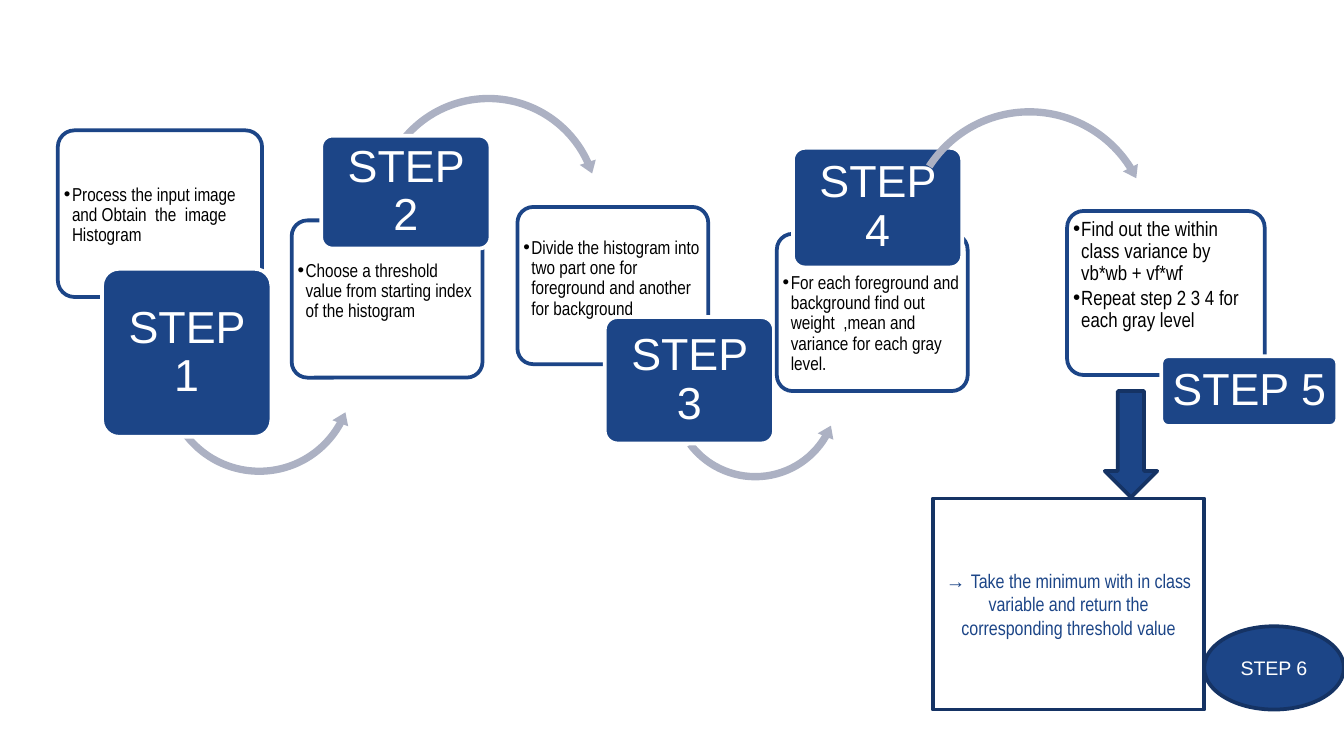
"""Build a slide showing the six steps of histogram thresholding."""
from lxml import etree
from pptx import Presentation
from pptx import util as u
from pptx.dml.color import RGBColor
from pptx.enum import shapes, text
from pptx.oxml.ns import qn

BLUE = RGBColor(0x1C, 0x45, 0x87)
NAVY = RGBColor(0x15, 0x33, 0x64)
GREY = RGBColor(0xAC, 0xB1, 0xC3)
WHITE = RGBColor(0xFF, 0xFF, 0xFF)
BLACK = RGBColor(0, 0, 0)

KINDS = shapes.MSO_SHAPE
OVER = KINDS.CIRCULAR_ARROW
UNDER = KINDS.LEFT_CIRCULAR_ARROW

CARDS = [
    ((0.43, 0.97, 1.52, 1.24), 0.37, 10,
     ["Process the input image and Obtain  the  image Histogram"]),
    ((2.17, 1.64, 1.42, 1.17), 0.27, 10,
     ["Choose a threshold value from starting index of the histogram"]),
    ((3.85, 1.54, 1.42, 1.17), 0.2, 10,
     ["Divide the histogram into two part one for foreground and another for background"]),
    ((5.78, 1.74, 1.42, 1.17), 0.26, 10,
     ["For each foreground and background find out weight  ,mean and variance for each gray level."]),
    ((7.94, 1.57, 1.47, 1.22), 0.02, 11,
     ["Find out the within class variance by\vvb*wb + vf*wf",
      "Repeat step 2 3 4 for each gray level"]),
]
LABELS = [
    (0.76, 2, 1.26, 1.25),
    (2.39, 1.01, 1.26, 0.84),
    (4.5, 2.36, 1.26, 0.94),
    (5.9, 1.1, 1.26, 0.89),
    (8.64, 2.65, 1.31, 0.52),
]
CURVES = [
    (UNDER, (1.18, 2.07, 1.5), (0.036, 4.51, 17.22, 85.2, 0.042)),
    (OVER, (2.76, 0.67, 1.75), (0.031, 3.82, 201.25, 132.59, 0.036)),
    (UNDER, (4.95, 2.27, 1.34), (0.041, 5.11, 18.33, 85.71, 0.047)),
]
LAST_CURVE = (OVER, (6.71, 0.77, 1.9), (0.029, 3.48, 196.71, 127.7, 0.033))


def add_shape(slide, kind, box, fill=None, line=None, adjustments=()):
    """Add a flat preset shape; without fill or line that part is empty."""
    shape = slide.shapes.add_shape(kind, *map(u.Inches, box))
    shape.shadow.inherit = False
    for index, value in enumerate(adjustments):
        shape.adjustments[index] = value
    if fill is None:
        shape.fill.background()
    else:
        shape.fill.solid()
        shape.fill.fore_color.rgb = fill
    if line is None:
        shape.line.fill.background()
    else:
        shape.line.color.rgb = line
        shape.line.width = u.Pt(2)
    return shape


def set_margins(frame, left, top, right, bottom):
    """Set the inner margins of a text frame in inches."""
    frame.margin_left, frame.margin_top = u.Inches(left), u.Inches(top)
    frame.margin_right, frame.margin_bottom = u.Inches(right), u.Inches(bottom)


def format_run(run, size, font, color):
    """Set the size, font and colour of a run."""
    run.font.size = u.Pt(size)
    run.font.name = font
    run.font.color.rgb = color


def write_centred(shape, content, size, color):
    """Write one centred paragraph in the middle of a shape."""
    frame = shape.text_frame
    frame.word_wrap = True
    frame.vertical_anchor = text.MSO_ANCHOR.MIDDLE
    paragraph = frame.paragraphs[0]
    paragraph.text = content
    paragraph.alignment = text.PP_ALIGN.CENTER
    format_run(paragraph.runs[0], size, "Arial", color)
    return paragraph


def add_bullet(paragraph):
    """Give a paragraph a round black bullet with a hanging indent."""
    properties = paragraph._p.get_or_add_pPr()
    properties.set("marL", str(u.Inches(0.06)))
    properties.set("indent", str(-u.Inches(0.06)))
    color = etree.SubElement(properties, qn("a:buClr"))
    etree.SubElement(color, qn("a:srgbClr")).set("val", str(BLACK))
    etree.SubElement(properties, qn("a:buFont")).set("typeface", "Arial")
    etree.SubElement(properties, qn("a:buChar")).set("char", "•")


def add_card(slide, box, top, size, items):
    """Add an outlined card whose bullets start at the given top margin."""
    card = add_shape(slide, KINDS.ROUNDED_RECTANGLE, box, None, BLUE, [0.1])
    frame = card.text_frame
    frame.word_wrap = True
    frame.vertical_anchor = text.MSO_ANCHOR.TOP
    set_margins(frame, 0.01, top, 0, 0)
    for index, item in enumerate(items):
        paragraph = frame.add_paragraph() if index else frame.paragraphs[0]
        paragraph.text = item
        add_bullet(paragraph)
        paragraph.alignment = text.PP_ALIGN.LEFT
        paragraph.line_spacing = 0.9
        paragraph.space_after = u.Pt(1.5)
        for run in paragraph.runs:
            format_run(run, size, "Arial Narrow", BLACK)


def add_label(slide, box, content):
    """Add a filled step label."""
    label = add_shape(slide, KINDS.ROUNDED_RECTANGLE, box, BLUE, WHITE, [0.1])
    set_margins(label.text_frame, 0.05, 0.03, 0.05, 0.03)
    write_centred(label, content, 24, WHITE).line_spacing = 0.9


def add_curve(slide, kind, place, adjustments):
    """Add a curved arrow in a square given by left, top and side."""
    add_shape(slide, kind, (*place, place[-1]), GREY, None, adjustments)


def add_result(slide):
    """Add the final step with its arrow, box and label."""
    result = add_shape(slide, KINDS.RECTANGLE, (6.94, 3.71, 2.02, 1.57), None, NAVY)
    set_margins(result.text_frame, 0.07, 0.05, 0.07, 0.05)
    run = write_centred(result, "→ ", 10.5, BLUE).add_run()
    run.text = "Take the minimum with in class variable and return the corresponding threshold value"
    format_run(run, 10.5, "Arial Narrow", BLUE)
    add_shape(slide, KINDS.DOWN_ARROW, (8.22, 2.91, 0.39, 0.79), BLUE, NAVY)
    oval = add_shape(slide, KINDS.OVAL, (8.96, 4.66, 1.04, 0.62), BLUE, NAVY)
    write_centred(oval, "STEP 6", 10.5, WHITE)


def main():
    """Build and save the presentation."""
    presentation = Presentation()
    presentation.slide_width = u.Inches(10)
    presentation.slide_height = u.Inches(10 * 9 / 16)
    slide = presentation.slides.add_slide(presentation.slide_layouts[6])
    for index, (card, label) in enumerate(zip(CARDS, LABELS)):
        add_card(slide, *card)
        if index < len(CURVES):
            add_curve(slide, *CURVES[index])
        add_label(slide, label, f"STEP {index + 1}")
    add_curve(slide, *LAST_CURVE)
    add_result(slide)
    presentation.save("out.pptx")


if __name__ == "__main__":
    main()
